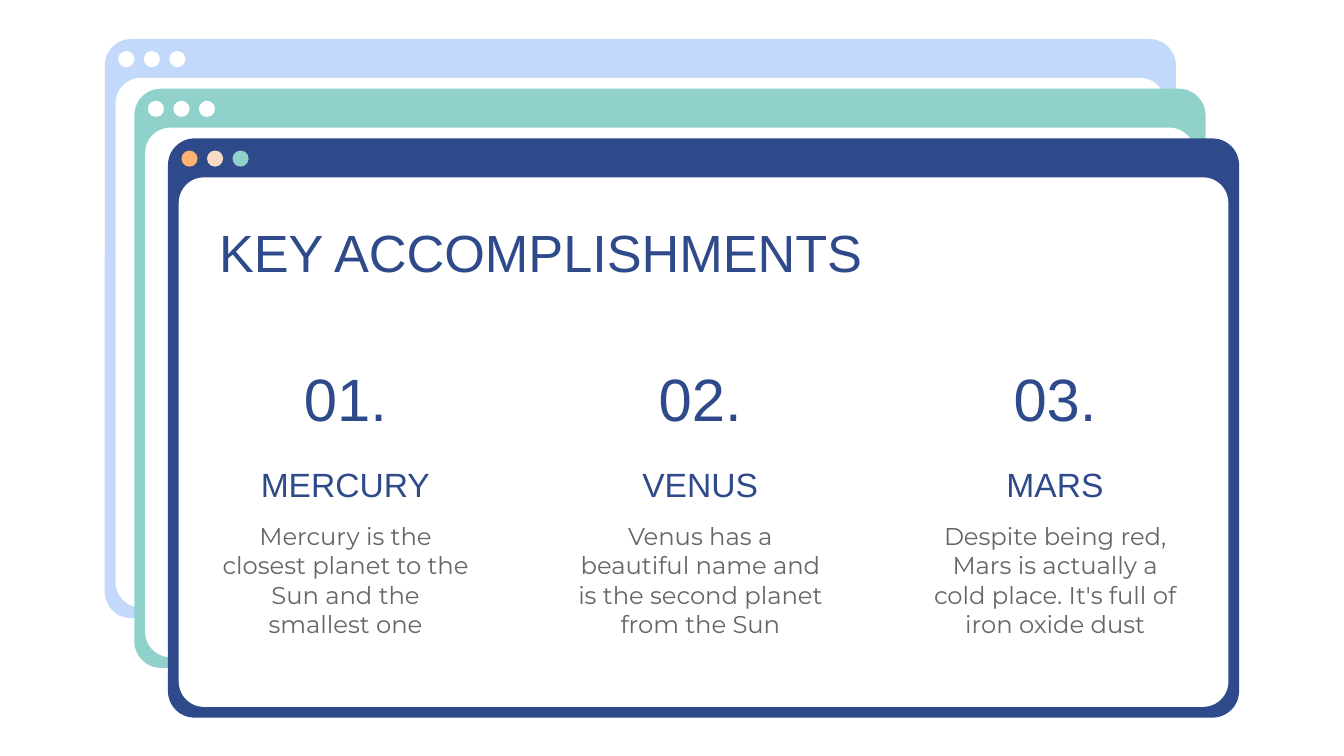
from pptx import Presentation
from pptx.dml.color import RGBColor
from pptx.enum.shapes import MSO_SHAPE
from pptx.enum.text import MSO_ANCHOR, MSO_AUTO_SIZE, PP_ALIGN
from pptx.util import Inches, Pt

THEME = {
    "navy": "2F4A8A", "teal": "90D1CB", "sky": "C3D9FB", "white": "FFFFFF",
    "orange": "FFB172", "peach": "F8DBC4", "gray": "666666",
    "head": "Arial", "body": "Montserrat",
    "sizes": {"title": 28, "number": 32, "name": 18, "text": 13},
}
TITLE = "KEY ACCOMPLISHMENTS"
PLANETS = [
    ("01.", "MERCURY", "Mercury is the closest planet to the Sun and the smallest one"),
    ("02.", "VENUS", "Venus has a beautiful name and is the second planet from the Sun"),
    ("03.", "MARS", "Despite being red, Mars is actually a cold place. "
                    "It's full of iron oxide dust"),
]
# left, top, frame colour, dot colours
WINDOWS = [
    (0.78, 0.29, "sky", ["white"] * 3),
    (1, 0.66, "teal", ["white"] * 3),
    (1.25, 1.03, "navy", ["orange", "peach", "teal"]),
]
LEFT, WIDTH, PITCH = 1.53, 2.08, 2.64
# Part of a column: top, width, height
PARTS = {"number": (2.64, 0.99, 0.64), "name": (3.35, WIDTH, 0.51),
         "text": (3.78, WIDTH, 1.09)}
HEAD = {"color": "navy", "font": "head", "align": PP_ALIGN.CENTER,
        "anchor": MSO_ANCHOR.MIDDLE, "after": 0}
FORMATS = {
    "title": {**HEAD, "align": PP_ALIGN.LEFT},
    "number": HEAD,
    "name": HEAD,
    "text": {"color": "gray", "font": "body", "align": PP_ALIGN.CENTER,
             "anchor": MSO_ANCHOR.TOP, "after": 12},
}


def color(name):
    return RGBColor.from_string(THEME[name])


def add_fill(group, kind, box, fill, adj=None):
    """Add a borderless filled shape to a group."""
    shape = group.shapes.add_shape(kind, *map(Inches, box))
    shape.shadow.inherit = False
    shape.fill.solid()
    shape.fill.fore_color.rgb = color(fill)
    shape.line.fill.background()
    if adj is not None:
        shape.adjustments[0] = adj


def add_window(slide, left, top, frame, dots):
    group = slide.shapes.add_group_shape()
    rect = MSO_SHAPE.ROUNDED_RECTANGLE
    add_fill(group, rect, (left, top, 7.97, 4.31), frame, 0.046)
    add_fill(group, rect, (left + 0.08, top + 0.29, 7.81, 3.94), "white", 0.048)
    for i, dot in enumerate(dots):
        box = (left + 0.1 + 0.19 * i, top + 0.09, 0.12, 0.12)
        add_fill(group, MSO_SHAPE.OVAL, box, dot)


def write(shape, text, role):
    form = FORMATS[role]
    frame = shape.text_frame
    frame.text = text
    values = {"word_wrap": True, "auto_size": MSO_AUTO_SIZE.NONE,
              "vertical_anchor": form["anchor"]}
    for side in ("left", "top", "right", "bottom"):
        values["margin_" + side] = Inches(0.1)
    for key, value in values.items():
        setattr(frame, key, value)
    para = frame.paragraphs[0]
    para.alignment = form["align"]
    para.space_before = Pt(0)
    para.space_after = Pt(form["after"])
    font = para.runs[0].font
    font.name = THEME[form["font"]]
    font.size = Pt(THEME["sizes"][role])
    font.color.rgb = color(form["color"])


def main():
    deck = Presentation()
    deck.slide_width, deck.slide_height = Inches(10), Inches(10 * 9 / 16)
    slide = deck.slides.add_slide(deck.slide_layouts[5])

    for window in WINDOWS:
        add_window(slide, *window)

    title = slide.shapes.title
    title.left, title.top, title.width, title.height = map(
        Inches, (LEFT, 1.62, 7.44, 0.51))
    write(title, TITLE, "title")
    # Bring the title in front of the windows
    title.element.getparent().append(title.element)

    for col, planet in enumerate(PLANETS):
        mid = LEFT + col * PITCH + WIDTH / 2
        for (role, (top, width, height)), text in zip(PARTS.items(), planet):
            box = (mid - width / 2, top, width, height)
            write(slide.shapes.add_textbox(*map(Inches, box)), text, role)

    deck.save("out.pptx")


if __name__ == "__main__":
    main()
